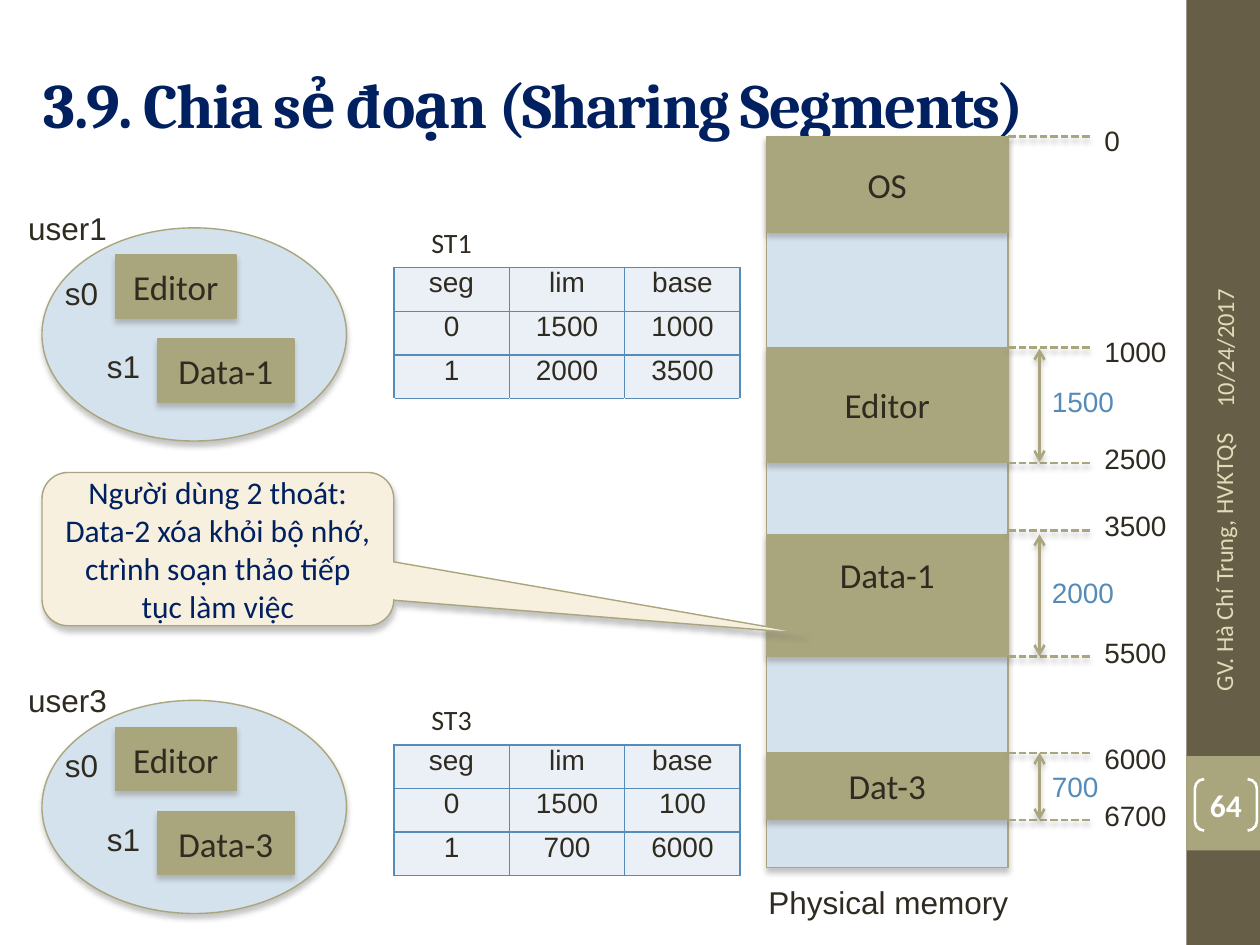
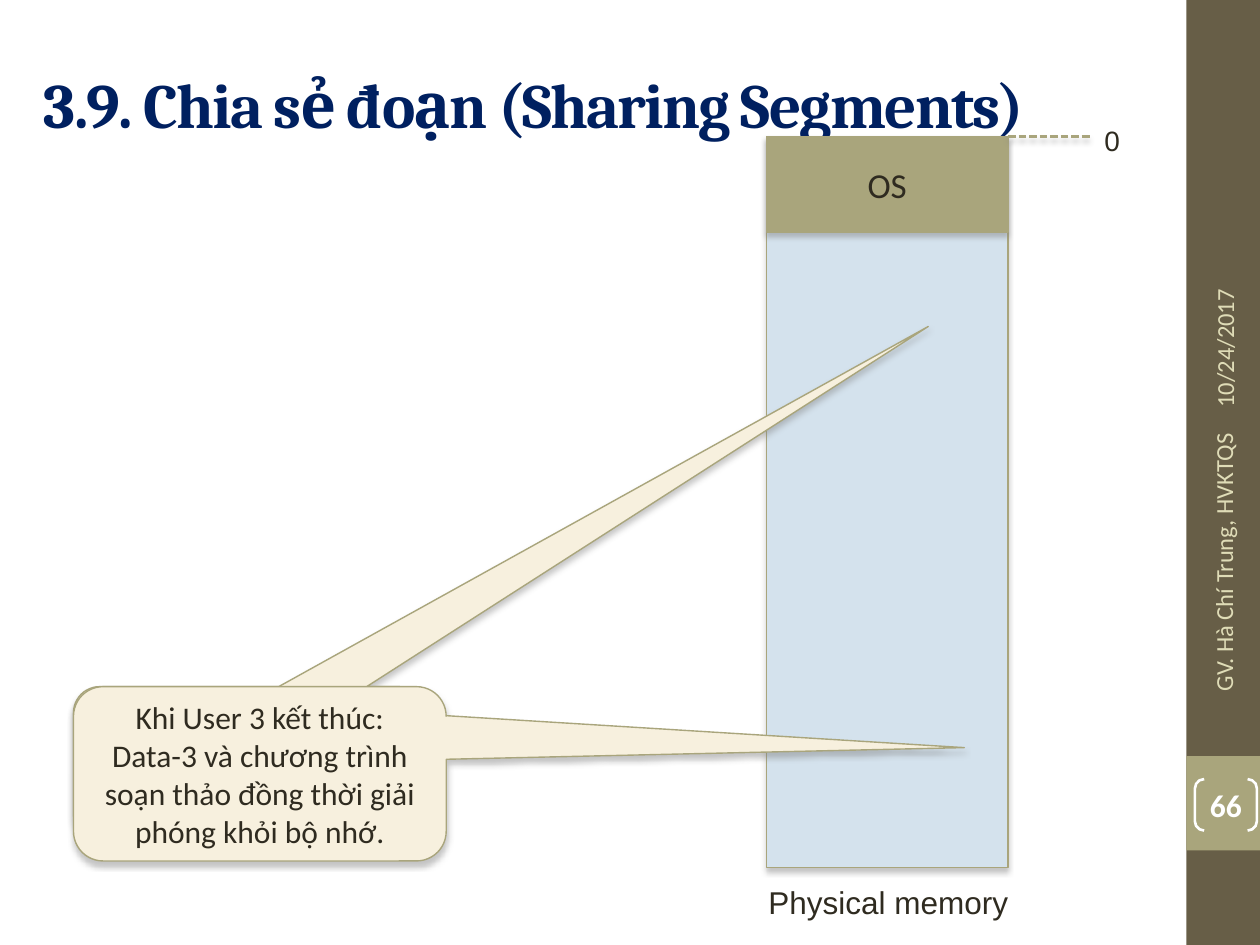
"""Build two slides on sharing memory segments, on a grid of 120 columns by 90 rows."""
import copy
import dataclasses

import lxml.etree
import pptx
import pptx.dml.color
import pptx.enum.dml
import pptx.enum.shapes
import pptx.enum.text
import pptx.oxml.ns
import pptx.util


@dataclasses.dataclass(frozen=True)
class Theme:
    navy: str = "002060"
    ink: str = "2F2B20"
    olive: str = "A9A57C"
    brown: str = "675E47"
    sand: str = "DFDCB7"
    cream: str = "F7F0DE"
    sky: str = "D4E2ED"
    pale: str = "EAF0F6"
    blue: str = "558BB8"
    white: str = "FFFFFF"
    head: str = "Cambria"
    body: str = "Calibri"
    plain: str = "Arial"
    title: int = 36
    block: int = 20
    label: int = 18
    small: int = 16
    foot: int = 14


look = Theme()
rgb = pptx.dml.color.RGBColor.from_string
qn = pptx.oxml.ns.qn
kinds = pptx.enum.shapes.MSO_SHAPE
mid = pptx.enum.text.MSO_ANCHOR.MIDDLE
top = pptx.enum.text.MSO_ANCHOR.TOP
left, center, right = (
    pptx.enum.text.PP_ALIGN.LEFT,
    pptx.enum.text.PP_ALIGN.CENTER,
    pptx.enum.text.PP_ALIGN.RIGHT,
)
space = "http://schemas.openxmlformats.org/drawingml/2006/main"
shade = lxml.etree.fromstring(
    f'<a:outerShdw xmlns:a="{space}" blurRad="38100" dist="30480" dir="5400000" '
    'rotWithShape="0"><a:srgbClr val="808080"><a:alpha val="45000"/>'
    "</a:srgbClr></a:outerShdw>"
)

deck = pptx.Presentation()
deck.slide_width = pptx.util.Inches(10)
deck.slide_height = pptx.util.Inches(7.5)
unit = deck.slide_width / 120


def put(shapes, text, box, kind=None, fill=None, line=None, width=0.79, adj=(),
        shadow=False, size=look.label, font=look.plain, color=look.ink, bold=False,
        align=left, anchor=top, turn=0, pad=None, foot=None, track=None):
    """Add a shape or text box holding formatted text."""
    place = [round(n * unit) for n in box]
    if kind is None:
        shape = shapes.add_textbox(*place)
    else:
        shape = shapes.add_shape(kind, *place)
        shape.shadow.inherit = False
        for i, value in enumerate(adj):
            shape.adjustments[i] = value
        if fill:
            shape.fill.solid()
            shape.fill.fore_color.rgb = rgb(fill)
        else:
            shape.fill.background()
        if line:
            shape.line.color.rgb = rgb(line)
            shape.line.width = pptx.util.Pt(width)
        else:
            shape.line.fill.background()
        if shadow:
            shape._element.spPr.find(qn("a:effectLst")).append(copy.deepcopy(shade))
    shape.rotation = turn
    frame = shape.text_frame
    frame.word_wrap = True
    frame.vertical_anchor = anchor
    if pad is not None:
        frame.margin_left = frame.margin_right = round(pad * unit)
        frame.margin_top = frame.margin_bottom = round(pad * unit)
    if foot is not None:
        frame.margin_bottom = round(foot * unit)
    if text:
        frame.text = text
        for para in frame.paragraphs:
            para.alignment = align
            for run in para.runs:
                run.font.size = pptx.util.Pt(size)
                run.font.name = font
                run.font.bold = bold
                run.font.color.rgb = rgb(color)
                if track:
                    run._r.get_or_add_rPr().set("spc", str(track))
    return shape


def rule(shapes, start, end, arrow=False):
    """Add a dashed tick or a double-headed arrow."""
    ends = [round(n * unit) for n in (*start, *end)]
    link = shapes.add_connector(pptx.enum.shapes.MSO_CONNECTOR.STRAIGHT, *ends)
    link.line.color.rgb = rgb(look.olive)
    link.line.width = pptx.util.Pt(1.5)
    props = link._element.spPr
    if arrow:
        for tag in ("a:headEnd", "a:tailEnd"):
            lxml.etree.SubElement(props.find(qn("a:ln")), qn(tag), type="arrow")
    else:
        link.line.dash_style = pptx.enum.dml.MSO_LINE.SQUARE_DOT
    lxml.etree.SubElement(props, qn("a:effectLst")).append(copy.deepcopy(shade))


raised = dict(line=look.olive, shadow=True)
block = dict(raised, kind=kinds.RECTANGLE, fill=look.olive, size=look.block,
             font=look.body, align=center, anchor=mid)
bubble = dict(raised, kind=kinds.ROUNDED_RECTANGULAR_CALLOUT, fill=look.cream,
              font=look.body, align=center, anchor=mid)
side = dict(size=look.foot, font=look.body, color=look.sand, anchor=mid, turn=270)

parts = [("OS", 13, 9.1, None), ("Editor", 33.1, 10.9, None),
         ("Data-1", 50.9, 11.6, 4.6), ("Dat-3", 71.7, 6.3, None)]
ticks = [("0", 13, 11.2), ("1000", 33.1, 31.3), ("2500", 44.1, 41.5),
         ("3500", 50.5, 47.8), ("5500", 62.5, 59.9), ("6000", 71.7, 70),
         ("6700", 78.1, 75.5)]
spans = [("1500", 33.2, 44, 36), ("2000", 50.9, 62.5, 54.2),
         ("700", 71.7, 78.1, 72.7)]
pages = [("64", parts, ticks, spans), ("66", parts[:1], ticks[:1], [])]
bar, tick, gauge, wide = 73, 104, 99, 23

slides = []
for number, segs, marks, sizes in pages:
    slide = deck.slides.add_slide(deck.slide_layouts[6])
    slides.append(slide)
    base = slide.shapes
    put(base, "", (113, 0, 7, 90), kind=kinds.RECTANGLE, fill=look.brown)
    put(base, "", (113, 72, 7, 9), kind=kinds.RECTANGLE, fill=look.olive)
    put(base, "3.9. Chia sẻ đoạn (Sharing Segments)", (3, 3.6, 107, 12.4),
        size=look.title, font=look.head, color=look.navy, bold=True,
        anchor=mid, track=-100)
    put(base, "10/24/2017", (100.6, 21.6, 32, 4.8), **side)
    put(base, "GV. Hà Chí Trung, HVKTQS", (101, 53.2, 31, 4.8), align=right, **side)
    put(base, number, (113.8, 74.2, 5.9, 4.9), kind=kinds.DOUBLE_BRACKET,
        adj=[0.18], line=look.white, width=1.5, font=look.body, color=look.white,
        bold=True, align=center, anchor=mid, pad=0)

    store = base.add_group_shape().shapes
    put(store, "", (bar, 13, wide, 69.6), kind=kinds.RECTANGLE, fill=look.sky, **raised)
    for name, row, tall, foot in segs:
        put(store, name, (bar, row, wide, tall), foot=foot, **block)
    put(store, "Physical memory", (72, 83.5, 27, 4.4))
    for name, row, high in marks:
        rule(store, (bar + wide, row), (tick, row))
        put(store, name, (tick, high, 11, 4.1), size=look.small)
    for name, start, end, high in sizes:
        rule(store, (gauge, start), (gauge, end), arrow=True)
        put(store, name, (gauge, high, 11, 4.1), size=look.small, color=look.blue)

first, last = (slide.shapes for slide in slides)

heads = ["seg", "lim", "base"]
blank = [""] * 3
rows = [["ST1", "", ""], heads, ["0", "1500", "1000"], ["1", "2000", "3500"],
        blank, blank,
        ["ST3", "", ""], heads, ["0", "1500", "100"], ["1", "700", "6000"]]
full = [all(row) for row in rows]
highs = [4.5, 4.15, 4.15, 4.15, 14.25] * 2
highs = highs[:5] + [14.25] + highs[5:9]
grid = first.add_table(len(rows), 3, *[round(n * unit) for n in (37.5, 21, 33, sum(highs))]).table
grid.first_row = grid.horz_banding = False
for col in grid.columns:
    col.width = round(11 * unit)
for r, row in enumerate(rows):
    grid.rows[r].height = round(highs[r] * unit)
    above = r > 0 and full[r - 1]
    below = r + 1 < len(rows) and full[r + 1]
    edges = {"a:lnL": full[r], "a:lnR": full[r],
             "a:lnT": full[r] or above, "a:lnB": full[r] or below}
    for c, text in enumerate(row):
        cell = grid.cell(r, c)
        cell.fill.solid()
        cell.fill.fore_color.rgb = rgb(look.pale if full[r] else look.white)
        if full[r] or not text:
            cell.margin_left = cell.margin_right = pptx.util.Inches(0.07)
            cell.margin_top = cell.margin_bottom = 0
        if text:
            para = cell.text_frame.paragraphs[0]
            para.alignment = center
            run = para.add_run()
            run.text = text
            run.font.size = pptx.util.Pt(look.small)
            run.font.name = look.plain if full[r] else look.body
            run.font.color.rgb = rgb(look.ink)
        props = cell._tc.get_or_add_tcPr()
        for i, (tag, inked) in enumerate(edges.items()):
            edge = lxml.etree.Element(qn(tag), w="12700")
            paint = lxml.etree.SubElement(edge, qn("a:solidFill"))
            lxml.etree.SubElement(paint, qn("a:srgbClr"),
                                  val=look.blue if inked else look.white)
            props.insert(i, edge)

for user, data, row in (("user1", "Data-1", 21.7), ("user3", "Data-3", 66.7)):
    team = first.add_group_shape().shapes
    put(team, "", (4, row, 29, 20.3), kind=kinds.OVAL, fill=look.sky, **raised)
    put(team, "Editor", (11, row + 2.6, 11.5, 6), **block)
    put(team, data, (15, row + 10.6, 13, 6), **block)
    put(team, user, (1.5, row - 2.4, 21, 4.8))
    put(team, "s0", (5, row + 3.8, 7, 4.8))
    put(team, "s1", (9, row + 10.8, 7, 4.8))

put(first, "Người dùng 2 thoát:\nData-2 xóa khỏi bộ nhớ, ctrình soạn thảo tiếp tục làm việc",
    (4, 45, 33.5, 14.6), adj=[1.67, 0.55, 0.17], color=look.navy, **bubble)
put(last, "", (7, 65.4, 33.5, 14.6), adj=[1.93, -2.85, 0.17], **bubble)
put(last, "Khi User 3 kết thúc:\nData-3 và chương trình soạn thảo đồng thời giải phóng khỏi bộ nhớ.",
    (7, 65.4, 35.5, 16.6), adj=[1.89, -0.15, 0.17], **bubble)

deck.save("out.pptx")
